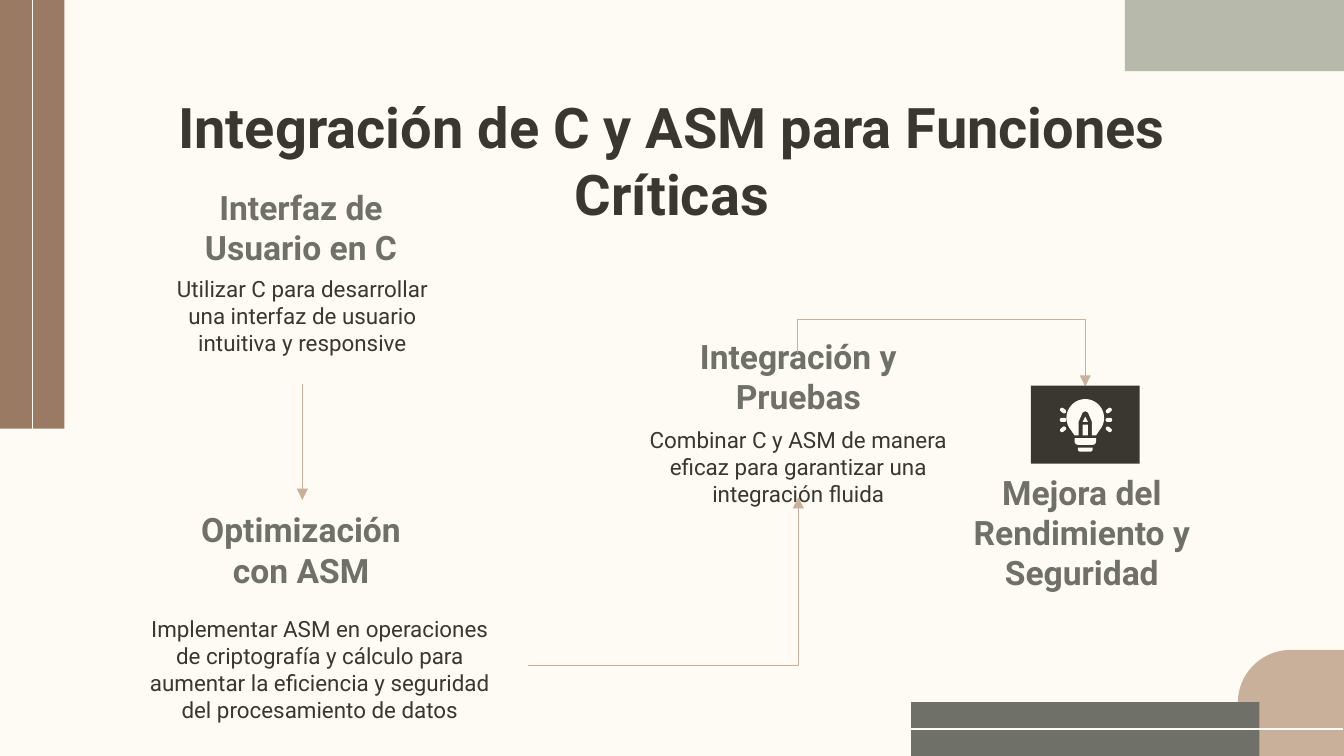
import math
from lxml import etree
from pptx import Presentation
from pptx.dml.color import RGBColor
from pptx.enum import shapes as es, text as et
from pptx.oxml.ns import qn
from pptx.util import Inches, Pt

CREAM = RGBColor(0xFE, 0xFA, 0xF4)
BROWN = RGBColor(0x9A, 0x7A, 0x63)
SAND = RGBColor(0xC9, 0xB0, 0x9A)
SAGE = RGBColor(0xB7, 0xB9, 0xAB)
GRAY = RGBColor(0x6F, 0x70, 0x67)
DARK = RGBColor(0x3A, 0x37, 0x30)
FONT = "Roboto"
WIDE = 10
HIGH = WIDE * 9 / 16
KIND = es.MSO_SHAPE
LINK = es.MSO_CONNECTOR


def paint(shape, color):
    shape.shadow.inherit = False
    shape.fill.solid()
    shape.fill.fore_color.rgb = color
    shape.line.fill.background()


def block(slide, kind, box, color, turn=0):
    shape = slide.shapes.add_shape(kind, *map(Inches, box))
    paint(shape, color)
    shape.rotation = turn
    return shape


def outline(slide, points, color):
    spots = [(Inches(x), Inches(y)) for x, y in points]
    pen = slide.shapes.build_freeform(*spots[0])
    pen.add_line_segments(spots[1:], close=True)
    paint(pen.convert_to_shape(), color)


def label(slide, box, words, size, color, bold=False, pad=0.1, low=False):
    frame = slide.shapes.add_textbox(*map(Inches, box)).text_frame
    frame.word_wrap = True
    frame.margin_left = frame.margin_right = Inches(0.1)
    frame.margin_top = frame.margin_bottom = Inches(pad)
    frame.vertical_anchor = et.MSO_ANCHOR.BOTTOM if low else et.MSO_ANCHOR.TOP
    frame.text = words
    para = frame.paragraphs[0]
    para.alignment = et.PP_ALIGN.CENTER
    font = para.runs[0].font
    font.name, font.size, font.bold = FONT, Pt(size), bold
    font.color.rgb = color


def line(slide, kind, ends, color):
    link = slide.shapes.add_connector(kind, *map(Inches, ends))
    link.line.color.rgb = color
    link.line.width = Pt(0.75)
    etree.SubElement(link._element.spPr, qn("a:effectLst"))
    return link


def arrow(slide, kind, ends, preset=None, turn=0, bend=None):
    """Draw a flow arrow; preset, turn (degrees) and bend reshape an elbow."""
    link = line(slide, kind, ends, SAND)
    props = link._element.spPr
    etree.SubElement(props.find(qn("a:ln")), qn("a:tailEnd"), type="triangle")
    geom = props.find(qn("a:prstGeom"))
    if preset:
        geom.set("prst", preset)
    if turn:
        props.find(qn("a:xfrm")).set("rot", str(turn * 60000))
    if bend is not None:
        guides = geom.find(qn("a:avLst"))
        etree.SubElement(guides, qn("a:gd"), name="adj1",
                         fmla=f"val {round(bend * 100000)}")


def decor(slide, wide, high):
    side = 0.79
    corner = block(slide, KIND.ROUND_1_RECTANGLE,
                   (wide - side, high - side, side, side), SAND, 270)
    corner.adjustments[0] = 0.5
    block(slide, KIND.RECTANGLE, (0, 0, 0.48, 3.19), BROWN)
    block(slide, KIND.RECTANGLE, (wide - 1.63, 0, 1.63, 0.53), SAGE)
    line(slide, LINK.STRAIGHT, (0.24, 0, 0.24, 3.19), CREAM)
    block(slide, KIND.RECTANGLE, (6.78, high - 0.4, 2.59, 0.4), GRAY)
    line(slide, LINK.STRAIGHT, (6.78, high - 0.2, wide - 0.01, high - 0.2), CREAM)


def heading(slide, box, words):
    label(slide, box, words, 18, GRAY, bold=True, pad=0, low=True)


def step(slide, head, body, name, words):
    """Place a stage: head and body are (left, top, width)."""
    heading(slide, (*head, 0.48), name)
    label(slide, (*body, 0.64), words, 12, DARK)


def bulb(slide, left, top, wide, high):
    """Draw a dark tile holding a light bulb with a pencil inside."""
    block(slide, KIND.RECTANGLE, (left, top, wide, high), DARK)
    mid, axis, radius = left + wide / 2, top + 0.24, 0.14

    for side in (-1, 1):
        for tilt in (-38, 0, 38):
            x = mid + side * 0.17
            y = top + 0.25 + 0.07 * tilt / 38
            ray = block(slide, KIND.ROUNDED_RECTANGLE,
                        (x - 0.02, y - 0.01, 0.05, 0.03), CREAM, side * tilt)
            ray.adjustments[0] = 0.5

    angles = [math.radians(a) for a in range(140, 401, 5)]
    glass = [(mid + radius * math.cos(a), axis + radius * math.sin(a))
             for a in angles]
    inner = [(0.08, 0.37), (0.05, 0.37), (0.05, 0.27), (0.02, 0.2), (0, 0.19),
             (-0.02, 0.2), (-0.05, 0.27), (-0.05, 0.37), (-0.08, 0.37)]
    outline(slide, glass + [(mid + x, top + y) for x, y in inner], CREAM)

    block(slide, KIND.RECTANGLE, (mid - 0.02, top + 0.29, 0.04, 0.08), CREAM)
    tip = [(0, 0.23), (0.02, 0.27), (-0.02, 0.27)]
    outline(slide, [(mid + x, top + y) for x, y in tip], CREAM)
    for y, w, h in ((0.39, 0.16, 0.05), (0.46, 0.11, 0.03)):
        cap = block(slide, KIND.ROUND_2_SAME_RECTANGLE,
                    (mid - w / 2, top + y, w, h), CREAM, 180)
        cap.adjustments[0] = 0.5


def flow(slide):
    step(slide, (1.19, 1.51, 2.1), (1.19, 1.95, 2.12), "Interfaz de Usuario en C",
         "Utilizar C para desarrollar una interfaz de usuario intuitiva y responsive")
    step(slide, (4.69, 2.62, 2.5), (4.69, 3.07, 2.5), "Integración y Pruebas",
         "Combinar C y ASM de manera eficaz para garantizar una integración fluida")
    step(slide, (1.18, 3.91, 2.12), (0.97, 4.48, 2.82), "Optimización con ASM",
         "Implementar ASM en operaciones de criptografía y cálculo para aumentar "
         "la eficiencia y seguridad del procesamiento de datos")
    arrow(slide, LINK.ELBOW, (7.13, 1.68, 6.88, 3.82), turn=270, bend=-1)
    arrow(slide, LINK.ELBOW, (3.93, 4.95, 5.94, 3.7), preset="bentConnector2")
    arrow(slide, LINK.ELBOW, (1.82, 3.29, 2.68, 3.29), turn=90, bend=0.5)
    bulb(slide, 7.67, 2.87, 0.81, 0.58)


def main():
    deck = Presentation()
    deck.slide_width, deck.slide_height = Inches(WIDE), Inches(HIGH)
    slide = deck.slides.add_slide(deck.slide_layouts[6])
    slide.background.fill.solid()
    slide.background.fill.fore_color.rgb = CREAM
    decor(slide, WIDE, HIGH)
    heading(slide, (7, 3.93, 2.1, 0.48), "Mejora del Rendimiento y Seguridad")
    label(slide, (0.79, 0.59, 8.42, 0.63),
          "Integración de C y ASM para Funciones Críticas", 30, DARK, bold=True)
    flow(slide)
    deck.save("out.pptx")


if __name__ == "__main__":
    main()
